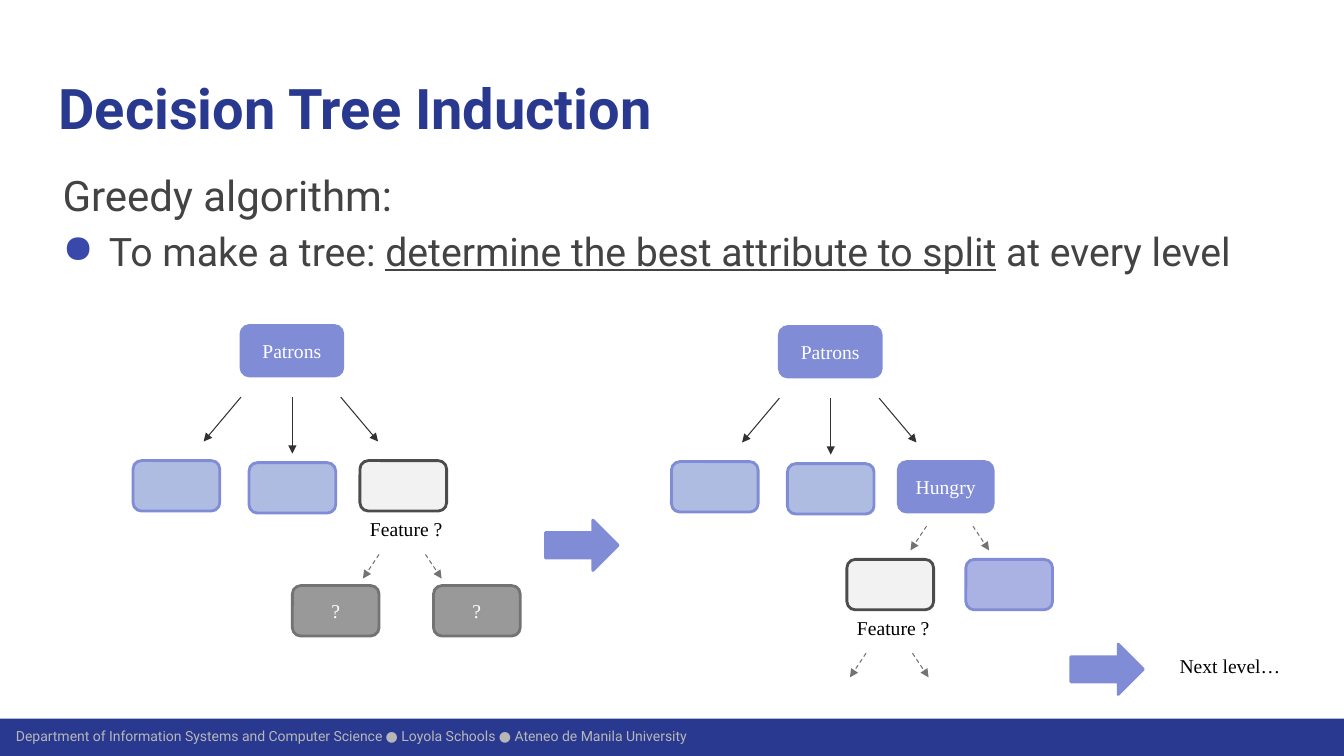
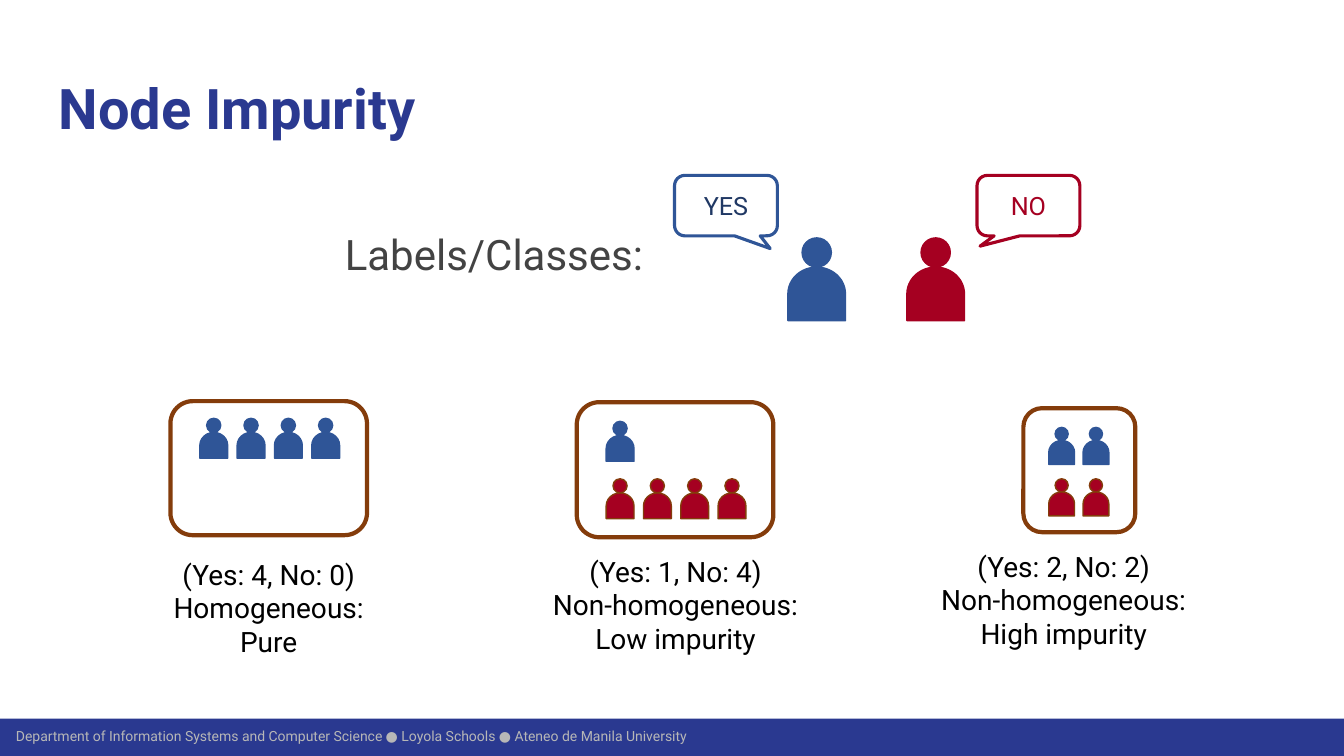
from dataclasses import dataclass

from lxml import etree
from pptx import Presentation
from pptx import util as u
from pptx.dml.color import RGBColor
from pptx.enum import dml, shapes, text
from pptx.oxml import ns

GEOMETRY = shapes.MSO_SHAPE


@dataclass(frozen=True)
class Theme:
    sans: str = "Roboto"
    serif: str = "Times New Roman"
    title_size: int = 40
    lead_size: int = 30
    bullet_size: int = 28
    caption_size: int = 20
    callout_size: int = 18
    node_size: int = 14
    footer_size: int = 10
    navy: str = "2A3990"
    footer_text: str = "B7B7B7"
    body_text: str = "434343"
    bullet: str = "3949AB"
    black: str = "000000"
    white: str = "FFFFFF"
    node: str = "808CD5"
    leaf: str = "AEBCE1"
    new_leaf: str = "AAB2E3"
    open_fill: str = "F2F2F2"
    open_line: str = "4C4C4C"
    unknown_fill: str = "999999"
    grey: str = "737373"
    branch: str = "323232"
    yes: str = "2F5597"
    yes_text: str = "203864"
    no: str = "A50021"
    frame: str = "843C0B"


THEME = Theme()


def set_formats(target, formats):
    for name, value in formats.items():
        setattr(target, name, value)


def box_inches(*lengths):
    return [u.Inches(length) for length in lengths]


def add_run(paragraph, words, size, color, font=THEME.sans, **formats):
    run = paragraph.add_run()
    run.text = words
    set_formats(run.font, {"name": font, "size": u.Pt(size), **formats})
    run.font.color.rgb = RGBColor.from_string(color)


def format_frame(frame, inset=None, **formats):
    set_formats(frame, {"word_wrap": True, **formats})
    if inset is not None:
        sides = ("left", "top", "right", "bottom")
        set_formats(frame, {f"margin_{side}": u.Inches(inset) for side in sides})


def add_text_box(slide, at, inset=None, **formats):
    frame = slide.shapes.add_textbox(*box_inches(*at)).text_frame
    format_frame(frame, inset, **formats)
    return frame


def add_lines(frame, lines, size, color, font=THEME.sans):
    """Write centred lines, one paragraph each."""
    for index, line in enumerate(lines):
        paragraph = frame.add_paragraph() if index else frame.paragraphs[0]
        paragraph.alignment = text.PP_ALIGN.CENTER
        add_run(paragraph, line, size, color, font)


def add_label(slide, at, lines, size, font):
    frame = add_text_box(slide, at, auto_size=text.MSO_AUTO_SIZE.SHAPE_TO_FIT_TEXT)
    add_lines(frame, lines, size, THEME.black, font)


def add_figure(owner, geometry, at, fill=None, line=None, weight=2):
    """Add a flat preset shape to a slide or a group."""
    shape = owner.shapes.add_shape(geometry, *box_inches(*at))
    shape.shadow.inherit = False
    if fill:
        shape.fill.solid()
        shape.fill.fore_color.rgb = RGBColor.from_string(fill)
    else:
        shape.fill.background()
    if line:
        shape.line.color.rgb = RGBColor.from_string(line)
        shape.line.width = u.Pt(weight)
    else:
        shape.line.fill.background()
    return shape


def add_arrow(slide, start, end, color, dash=None):
    connector = slide.shapes.add_connector(
        shapes.MSO_CONNECTOR.STRAIGHT, *box_inches(*start, *end))
    line = connector.line
    set_formats(line, {"width": u.Pt(0.75), "dash_style": dash})
    line.color.rgb = RGBColor.from_string(color)
    properties = connector.element.spPr
    outline = properties.find(ns.qn("a:ln"))
    etree.SubElement(outline, ns.qn("a:tailEnd"), type="triangle")
    etree.SubElement(properties, ns.qn("a:effectLst"))


def add_footer(slide):
    """Place the footer band on the layout that all slides share."""
    band = add_figure(slide, GEOMETRY.RECTANGLE, (0, 7.13, 13.33, 0.37), THEME.navy)
    credit = slide.shapes.add_textbox(*box_inches(0.06, 7.18, 10, 0.24))
    format_frame(credit.text_frame, 0.1, vertical_anchor=text.MSO_ANCHOR.MIDDLE)
    add_run(credit.text_frame.paragraphs[0],
            "Department of Information Systems and Computer Science ● "
            "Loyola Schools ● Ateneo de Manila University",
            THEME.footer_size, THEME.footer_text)
    for shape in (band, credit):
        slide.slide_layout.shapes.element.append(shape.element)


def add_titled_slide(presentation, title):
    slide = presentation.slides.add_slide(presentation.slide_layouts[5])
    placeholder = slide.shapes.title
    left, top, width, height = box_inches(0.45, 0.6, 12.42, 0.89)
    set_formats(placeholder, {"left": left, "top": top, "width": width, "height": height})
    format_frame(placeholder.text_frame, 0.13, auto_size=text.MSO_AUTO_SIZE.NONE,
                 vertical_anchor=text.MSO_ANCHOR.TOP)
    paragraph = placeholder.text_frame.paragraphs[0]
    paragraph.alignment = text.PP_ALIGN.LEFT
    add_run(paragraph, title, THEME.title_size, THEME.navy, bold=True)
    return slide


def indent(paragraph, margin, first_line):
    properties = paragraph._p.get_or_add_pPr()
    properties.set("marL", str(u.Inches(margin)))
    properties.set("indent", str(u.Inches(first_line)))
    return properties


def add_lead(slide, at, words):
    frame = add_text_box(slide, at, 0.13)
    paragraph = frame.paragraphs[0]
    indent(paragraph, 0.04, 0)
    paragraph.line_spacing = 1.15
    add_run(paragraph, words, THEME.lead_size, THEME.body_text)
    return frame


def add_bullet(frame, runs):
    """Add a bullet paragraph from (words, underlined) pairs."""
    paragraph = frame.add_paragraph()
    properties = indent(paragraph, 0.5, -0.46)
    color = etree.SubElement(properties, ns.qn("a:buClr"))
    etree.SubElement(color, ns.qn("a:srgbClr"), val=THEME.bullet)
    etree.SubElement(properties, ns.qn("a:buChar"), char="●")
    paragraph.line_spacing = 1.15
    for words, underlined in runs:
        add_run(paragraph, words, THEME.bullet_size, THEME.body_text, underline=underlined)


def add_node(slide, left, top, fill=THEME.leaf, line=THEME.node, words=None, width=0.86):
    node = add_figure(slide, GEOMETRY.ROUNDED_RECTANGLE, (left, top, width, 0.5), fill, line)
    if words:
        format_frame(node.text_frame, vertical_anchor=text.MSO_ANCHOR.MIDDLE)
        add_lines(node.text_frame, [words], THEME.node_size, THEME.white, THEME.serif)


def add_split(slide, left, top):
    """Draw the root node, its three branches and the first two leaves."""
    add_node(slide, left, top, THEME.node, words="Patrons", width=1.01)
    for start, end, drop in ((0, -0.37, 1.15), (0.51, 0.51, 1.27), (0.99, 1.36, 1.15)):
        add_arrow(slide, (left + start, top + 0.71), (left + end, top + drop), THEME.branch)
    for shift, drop in ((-1.07, 1.34), (0.08, 1.36)):
        add_node(slide, left + shift, top + drop)


def add_fork(slide, center, top):
    for side in (-1, 1):
        add_arrow(slide, (center + side * 0.23, top), (center + side * 0.39, top + 0.24),
                  THEME.grey, dml.MSO_LINE.DASH)


def add_open_node(slide, left, top):
    """Draw a node whose feature is still to be chosen."""
    add_node(slide, left, top, THEME.open_fill, THEME.open_line)
    add_label(slide, (left - 0.17, top + 0.51, 1.26, 0.4), ["Feature ?"],
              THEME.node_size, THEME.serif)
    add_fork(slide, left + 0.42, top + 0.93)


def add_person(owner, center, top, head, fill, line):
    """Draw a round head on a rounded body, sized from the head."""
    length, breadth = 1.83 * head, 1.97 * head
    add_figure(owner, GEOMETRY.FLOWCHART_CONNECTOR,
               (center - head / 2, top, head, head), fill, line, 1)
    body_top = top + head + (length - breadth) / 2
    body = add_figure(owner, GEOMETRY.FLOWCHART_DELAY,
                      (center - length / 2, body_top, length, breadth), fill, line, 1)
    body.rotation = 270


def add_sample(slide, frame, head, pitch, first, rows):
    """Draw a framed sample; each row is (count, top, fill, line)."""
    group = slide.shapes.add_group_shape()
    add_figure(group, GEOMETRY.ROUNDED_RECTANGLE, frame, THEME.white, THEME.frame, 3)
    for count, top, fill, line in rows:
        for index in range(count):
            add_person(group, first + index * pitch, top, head, fill, line)


def add_speaker(slide, center, left, words, color, text_color, pointer):
    person = slide.shapes.add_group_shape()
    add_person(person, center, 2.36, 0.29, color, color)
    callout = add_figure(slide, GEOMETRY.ROUNDED_RECTANGULAR_CALLOUT,
                         (left, 1.74, 1.02, 0.6), line=color, weight=2.25)
    for index, value in enumerate(pointer):
        callout.adjustments[index] = value
    format_frame(callout.text_frame, vertical_anchor=text.MSO_ANCHOR.MIDDLE)
    add_lines(callout.text_frame, [words], THEME.callout_size, text_color)


def build_induction_slide(presentation):
    slide = add_titled_slide(presentation, "Decision Tree Induction")
    add_footer(slide)
    body = add_lead(slide, (0.45, 1.48, 12.42, 1.44), "Greedy algorithm:")
    add_bullet(body, [("To make a tree: ", False),
                      ("determine the best attribute to split", True),
                      (" at every level", False)])

    add_split(slide, 2.39, 3.23)
    add_open_node(slide, 3.57, 4.57)
    for left in (2.9, 4.3):
        add_node(slide, left, 5.81, THEME.unknown_fill, THEME.grey, "?")

    add_split(slide, 7.73, 3.24)
    add_node(slide, 8.91, 4.58, THEME.node, words="Hungry", width=0.94)
    add_fork(slide, 9.42, 5.22)
    add_open_node(slide, 8.4, 5.55)
    add_node(slide, 9.58, 5.55, THEME.new_leaf)

    for left, top in ((5.41, 5.16), (10.62, 6.39)):
        add_figure(slide, GEOMETRY.RIGHT_ARROW, (left, top, 0.72, 0.5),
                   THEME.node, THEME.node)
    add_label(slide, (11.57, 6.44, 1.26, 0.34), ["Next level…"], THEME.node_size, THEME.serif)


def build_impurity_slide(presentation):
    slide = add_titled_slide(presentation, "Node Impurity")
    add_lead(slide, (3.25, 2.06, 3.89, 0.89), "Labels/Classes:")
    add_speaker(slide, 8.1, 6.69, "YES", THEME.yes, THEME.yes_text, (0.43, 0.71, 0.17))
    add_speaker(slide, 9.28, 9.69, "NO", THEME.no, THEME.no, (-0.47, 0.67, 0.17))

    yes, no = (THEME.yes, THEME.yes), (THEME.no, THEME.frame)
    add_sample(slide, (1.69, 3.98, 1.95, 1.33), 0.14, 0.37, 2.12, [(4, 4.15, *yes)])
    add_sample(slide, (5.72, 3.99, 1.95, 1.34), 0.14, 0.37, 6.15,
               [(1, 4.18, *yes), (4, 4.75, *no)])
    add_sample(slide, (10.15, 4.05, 1.11, 1.23), 0.13, 0.34, 10.53,
               [(2, 4.24, *yes), (2, 4.75, *no)])

    captions = (
        ((1.44, 5.48, 2.45, 1.11), ["(Yes: 4, No: 0)", "Homogeneous:", "Pure"]),
        ((5.34, 5.45, 2.72, 1.11), ["(Yes: 1, No: 4)", "Non-homogeneous:", "Low impurity"]),
        ((9.19, 5.4, 2.72, 1.11), ["(Yes: 2, No: 2)", "Non-homogeneous:", "High impurity"]),
    )
    for at, lines in captions:
        add_label(slide, at, lines, THEME.caption_size, THEME.sans)


def main():
    presentation = Presentation()
    set_formats(presentation, {"slide_width": u.Inches(13.33), "slide_height": u.Inches(7.5)})
    build_induction_slide(presentation)
    build_impurity_slide(presentation)
    presentation.save("out.pptx")


if __name__ == "__main__":
    main()
